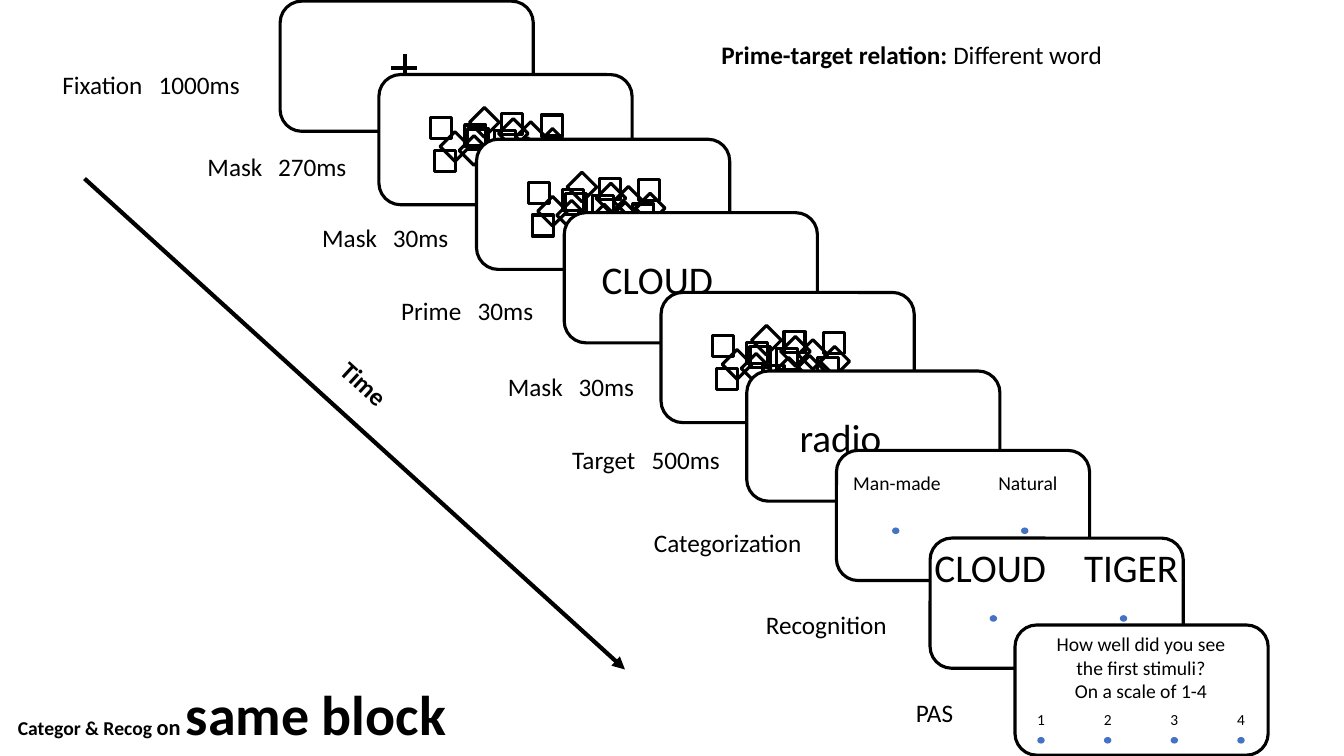
from dataclasses import dataclass

import lxml.etree
import pptx
import pptx.dml.color
import pptx.enum.shapes
import pptx.enum.text
import pptx.oxml.ns
import pptx.shapes.autoshape
import pptx.shapes.shapetree
import pptx.util

Cm = pptx.util.Cm
Pt = pptx.util.Pt
Preset = pptx.enum.shapes.MSO_SHAPE
Align = pptx.enum.text.PP_ALIGN
ShapeTree = pptx.shapes.shapetree.GroupShapes | pptx.shapes.shapetree.SlideShapes

COLORS = {"ink": "000000", "paper": "FFFFFF", "dot": "4472C4"}
FONT = "Calibri"
FRAME_WIDTH, FRAME_HEIGHT = 6.38, 3.28
TILE_SIZE = 0.53
DOT_WIDTH, DOT_HEIGHT = 0.15, 0.13
LABEL_HEIGHT = 1.02
SCALE_LEFT, SCALE_STEP, SCALE_TOP = 0.58, 1.68, 2.84
DIGIT_WIDTH, DIGIT_TOP, DIGIT_HEIGHT = 1.2, 2.03, 0.74


@dataclass(frozen=True)
class Span:
    text: str
    size: float = 18
    bold: bool = False


@dataclass(frozen=True)
class TextBlock:
    left: float
    top: float
    width: float
    height: float
    lines: tuple[tuple[Span, ...], ...]
    centered: bool = False
    tab: float = 0
    rotation: float = 0


@dataclass(frozen=True)
class Tile:
    left: float
    top: float
    rotation: float = 0


@dataclass(frozen=True)
class Stroke:
    start: tuple[float, float]
    end: tuple[float, float]


@dataclass(frozen=True)
class Screen:
    left: float
    top: float
    tiles: tuple[Tile, ...] = ()
    strokes: tuple[Stroke, ...] = ()
    texts: tuple[TextBlock, ...] = ()
    dots: tuple[tuple[float, float], ...] = ()


def block(left: float, top: float, width: float, height: float, text: str,
          size: float = 18, centered: bool = False, tab: float = 0) -> TextBlock:
    lines = tuple((Span(line, size),) for line in text.split("\n"))
    return TextBlock(left, top, width, height, lines, centered, tab)


MASK_TILES = (
    Tile(1.3, 1.09), Tile(2.24, 1.37), Tile(3.1, 0.99), Tile(2.92, 1.42),
    Tile(3.94, 1.63), Tile(4.09, 1.02), Tile(1.4, 1.91),
    Tile(2.39, 0.94, 45), Tile(3.56, 1.3, 45), Tile(2.16, 1.27),
    Tile(1.65, 1.55, 45), Tile(2.95, 1.75, 45), Tile(4.11, 1.47, 45),
    Tile(2.13, 1.65, 45), Tile(3.12, 1.22, 45), Tile(3.48, 1.7, 45),
    Tile(2.57, 1.85),
)
FIXATION_CROSS = (Stroke((3.15, 1.32), (3.15, 2.01)), Stroke((3.45, 1.68), (2.79, 1.68)))
SCALE_DOTS = tuple((SCALE_LEFT + SCALE_STEP * step, SCALE_TOP) for step in range(4))
SCALE_DIGITS = tuple(
    block(left + (DOT_WIDTH - DIGIT_WIDTH) / 2, DIGIT_TOP, DIGIT_WIDTH, DIGIT_HEIGHT,
          str(number), 11, centered=True)
    for number, (left, _) in enumerate(SCALE_DOTS, start=1)
)
QUESTION = block(0.43, 0.05, 5.49, 2.06,
                 "How well did you see the first stimuli?\nOn a scale of 1-4", 14, centered=True)

SCREENS = (
    Screen(7.06, 0.03, strokes=FIXATION_CROSS),
    Screen(9.55, 1.88, tiles=MASK_TILES[:-1]),
    Screen(12.01, 3.51, tiles=MASK_TILES),
    Screen(14.22, 5.36, texts=(block(0.69, 0.94, 5.2, 1.45, "CLOUD", 28),)),
    Screen(16.66, 7.37, tiles=MASK_TILES),
    Screen(18.82, 9.35, texts=(block(1.08, 0.94, 4.8, 1.45, "radio", 28),)),
    Screen(21.08, 11.35, dots=((1.42, 1.96), (4.67, 1.96)),
           texts=(block(0.17, 0.38, 3, 0.86, "Man-made", 14),
                  block(3.83, 0.38, 2.4, 0.86, "Natural", 14))),
    Screen(23.44, 13.56, dots=((1.52, 1.96), (4.8, 1.96)),
           texts=(block(-0.14, 0, 3.6, 1.45, "CLOUD", 28),
                  block(3.63, 0, 3.1, 1.45, "TIGER", 28))),
    Screen(25.58, 15.75, dots=SCALE_DOTS, texts=(QUESTION, *SCALE_DIGITS)),
)

CAPTIONS = (
    block(1.32, 1.63, 5.61, LABEL_HEIGHT, "Fixation\t1000ms", tab=2.43),
    block(4.98, 3.68, 4.67, LABEL_HEIGHT, "Mask\t270ms", tab=1.78),
    block(7.87, 5.49, 4.14, LABEL_HEIGHT, "Mask\t30ms", tab=1.78),
    block(9.86, 7.32, 4.34, LABEL_HEIGHT, "Prime\t30ms", tab=1.93),
    block(12.55, 9.22, 4.22, LABEL_HEIGHT, "Mask\t30ms", tab=1.78),
    block(14.17, 11.07, 4.55, LABEL_HEIGHT, "Target\t500ms", tab=2),
    block(16.23, 13.16, 4.37, LABEL_HEIGHT, "Categorization"),
    block(19.05, 15.24, 4.37, LABEL_HEIGHT, "Recognition"),
    block(22.83, 17.45, 1.93, LABEL_HEIGHT, "PAS"),
    TextBlock(17.93, 0.86, 12.57, LABEL_HEIGHT,
              ((Span("Prime-target relation: ", bold=True), Span("Different word")),)),
    TextBlock(0.2, 16.99, 12.57, 1.96,
              ((Span("Categor & Recog ", 14, True), Span("on ", 16, True),
                Span("same block", 40, True)),)),
)
TIME_ARROW = Stroke((2.13, 4.5), (15.75, 16.87))
TIME_LABEL = TextBlock(7.82, 9.98, 4.37, 1.35, ((Span("Time", bold=True),),), rotation=42.8)


def color(name: str) -> pptx.dml.color.RGBColor:
    return pptx.dml.color.RGBColor.from_string(COLORS[name])


def add_element(parent: lxml.etree._Element, tag: str, **attributes: str) -> lxml.etree._Element:
    return lxml.etree.SubElement(parent, pptx.oxml.ns.qn(tag), attributes)


def draw_shape(shapes: ShapeTree, preset: Preset, left: float, top: float, width: float,
               height: float, fill: str | None = None, line: str = "ink",
               weight: float = 2.25) -> pptx.shapes.autoshape.Shape:
    shape = shapes.add_shape(preset, Cm(left), Cm(top), Cm(width), Cm(height))
    shape.shadow.inherit = False
    if fill:
        shape.fill.solid()
        shape.fill.fore_color.rgb = color(fill)
    else:
        shape.fill.background()
    shape.line.color.rgb = color(line)
    shape.line.width = Pt(weight)
    return shape


def draw_stroke(shapes: ShapeTree, stroke: Stroke, left: float = 0, top: float = 0,
                arrow: bool = False) -> None:
    (x1, y1), (x2, y2) = stroke.start, stroke.end
    connector = shapes.add_connector(pptx.enum.shapes.MSO_CONNECTOR.STRAIGHT,
                                     Cm(left + x1), Cm(top + y1), Cm(left + x2), Cm(top + y2))
    connector.line.color.rgb = color("ink")
    connector.line.width = Pt(3)
    properties = connector._element.spPr
    if arrow:
        add_element(properties.find(pptx.oxml.ns.qn("a:ln")), "a:tailEnd", type="triangle")
    add_element(properties, "a:effectLst")


def draw_text(shapes: ShapeTree, text: TextBlock, left: float = 0, top: float = 0) -> None:
    box = shapes.add_textbox(Cm(left + text.left), Cm(top + text.top),
                             Cm(text.width), Cm(text.height))
    box.rotation = text.rotation
    frame = box.text_frame
    frame.word_wrap = True
    for index, line in enumerate(text.lines):
        para = frame.add_paragraph() if index else frame.paragraphs[0]
        para.alignment = Align.CENTER if text.centered else Align.LEFT
        if text.tab:
            tabs = add_element(para._p.get_or_add_pPr(), "a:tabLst")
            add_element(tabs, "a:tab", pos=str(Cm(text.tab)), algn="l")
        for span in line:
            run = para.add_run()
            run.text = span.text
            run.font.name = FONT
            run.font.size = Pt(span.size)
            run.font.bold = span.bold
            run.font.color.rgb = color("ink")


def draw_screen(shapes: ShapeTree, screen: Screen) -> None:
    left, top = screen.left, screen.top
    draw_shape(shapes, Preset.ROUNDED_RECTANGLE, left, top, FRAME_WIDTH, FRAME_HEIGHT, "paper")
    for stroke in screen.strokes:
        draw_stroke(shapes, stroke, left, top)
    for tile in screen.tiles:
        square = draw_shape(shapes, Preset.RECTANGLE, left + tile.left, top + tile.top,
                            TILE_SIZE, TILE_SIZE)
        square.rotation = tile.rotation
    for text in screen.texts:
        draw_text(shapes, text, left, top)
    for dot_left, dot_top in screen.dots:
        draw_shape(shapes, Preset.OVAL, left + dot_left, top + dot_top,
                   DOT_WIDTH, DOT_HEIGHT, "dot", "dot", 1)


def main() -> None:
    deck = pptx.Presentation()
    deck.slide_width, deck.slide_height = Cm(33.87), Cm(19.05)
    page = deck.slides.add_slide(deck.slide_layouts[6])
    for screen in SCREENS:
        draw_screen(page.shapes.add_group_shape().shapes, screen)
    timeline = page.shapes.add_group_shape().shapes
    draw_stroke(timeline, TIME_ARROW, arrow=True)
    draw_text(timeline, TIME_LABEL)
    for caption in CAPTIONS:
        draw_text(page.shapes, caption)
    deck.save("out.pptx")


if __name__ == "__main__":
    main()
